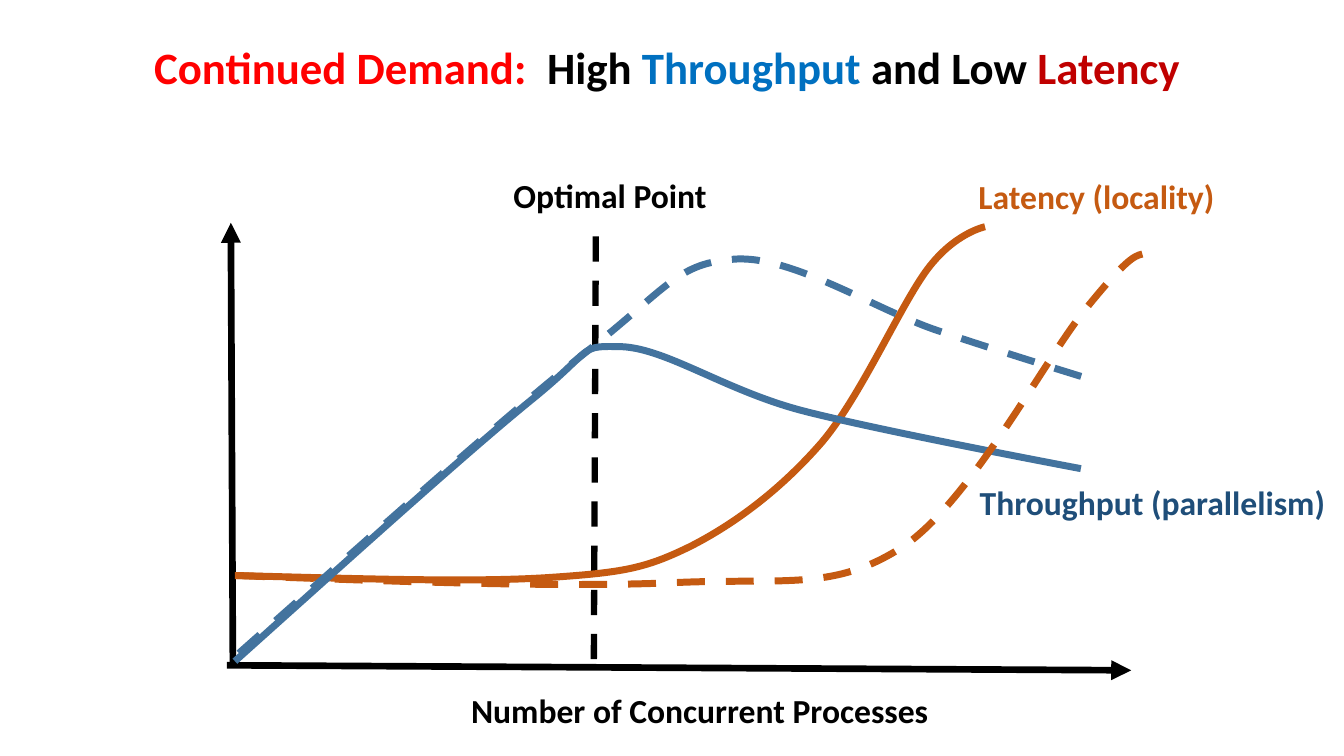
from pptx import Presentation
from pptx.dml.color import RGBColor
from pptx.enum.dml import MSO_LINE
from pptx.enum.shapes import MSO_CONNECTOR
from pptx.enum.text import MSO_ANCHOR, MSO_AUTO_SIZE, PP_ALIGN
from pptx.oxml.ns import qn
from pptx.util import Pt
from lxml.etree import SubElement

EMU_PER_PX = 9144  # 100 px to the inch

BLACK = RGBColor(0x00, 0x00, 0x00)
RED = RGBColor(0xFF, 0x00, 0x00)
DARK_RED = RGBColor(0xC0, 0x00, 0x00)
BRIGHT_BLUE = RGBColor(0x00, 0x70, 0xC0)
NAVY = RGBColor(0x1F, 0x4E, 0x79)
STEEL_BLUE = RGBColor(0x43, 0x73, 0x9E)
ORANGE = RGBColor(0xC5, 0x5A, 0x11)


def px(length):
    return length * EMU_PER_PX


class DiagramSlide:
    font_name = "Calibri"
    title_size = 32
    label_size = 24
    curve_width = 5

    def __init__(self, presentation):
        self.slide = presentation.slides.add_slide(presentation.slide_layouts[5])
        self.shapes = self.slide.shapes

    def add_runs(self, shape, runs, size):
        """Fill a shape with one centred line of (text, colour, spacing) runs."""
        frame = shape.text_frame
        frame.word_wrap = True
        frame.auto_size = MSO_AUTO_SIZE.SHAPE_TO_FIT_TEXT
        frame.vertical_anchor = MSO_ANCHOR.TOP
        paragraph = frame.paragraphs[0]
        paragraph.alignment = PP_ALIGN.CENTER
        for text, color, spacing in runs:
            run = paragraph.add_run()
            run.text = text
            run.font.name = self.font_name
            run.font.size = Pt(size)
            run.font.bold = True
            run.font.color.rgb = color
            if spacing:
                run._r.get_or_add_rPr().set("spc", str(round(spacing * 100)))

    def title(self, left, top, width, height, runs):
        title = self.shapes.title
        title.left, title.top = px(left), px(top)
        title.width, title.height = px(width), px(height)
        self.add_runs(title, runs, self.title_size)

    def label(self, left, top, width, text, color=BLACK):
        box = self.shapes.add_textbox(px(left), px(top), px(width), px(50))
        self.add_runs(box, [(text, color, 0)], self.label_size)

    def stroke(self, line, color, width, dashed):
        line.color.rgb = color
        line.width = Pt(width)
        if dashed:
            line.dash_style = MSO_LINE.DASH

    def line(self, start, end, width, dashed=False, arrow=False):
        connector = self.shapes.add_connector(
            MSO_CONNECTOR.STRAIGHT, *map(px, start + end))
        self.stroke(connector.line, BLACK, width, dashed)
        properties = connector._element.spPr
        if arrow:
            SubElement(properties.find(qn("a:ln")), qn("a:tailEnd"), type="triangle")
        SubElement(properties, qn("a:effectLst"))

    def curve(self, start, points, color, dashed=False):
        """Draw a chain of Bézier arcs; every three points make one arc."""
        builder = self.shapes.build_freeform(*start, scale=EMU_PER_PX)
        builder.add_line_segments(points, close=False)
        shape = builder.convert_to_shape()
        shape.shadow.inherit = False
        shape.fill.background()
        self.stroke(shape.line, color, self.curve_width, dashed)
        # Turn each three straight segments into one cubic arc
        outline = next(shape._element.iter(qn("a:path")))
        segments = outline.findall(qn("a:lnTo"))
        for first in range(0, len(segments), 3):
            arc = SubElement(outline, qn("a:cubicBezTo"))
            for segment in segments[first:first + 3]:
                arc.append(segment[0])
                outline.remove(segment)


def main():
    presentation = Presentation()
    presentation.slide_width, presentation.slide_height = px(1333), px(750)
    diagram = DiagramSlide(presentation)

    # Title, with a wide gap after the colon
    diagram.title(-5, 34, 1333, 64, [
        ("Continued Demand:", RED, 0),
        (" ", RED, 7.2),
        ("High ", BLACK, 0),
        ("Throughput", BRIGHT_BLUE, 0),
        (" and Low ", BLACK, 0),
        ("Latency", DARK_RED, 0),
    ])

    # Axes
    diagram.line((225, 660), (1122, 665), 4.75, arrow=True)
    diagram.line((231, 660), (229, 221), 4.75, arrow=True)
    diagram.label(443, 680, 502, "Number of Concurrent Processes")

    # Optimal point
    diagram.line((589, 654), (591, 225), 4.5, dashed=True)
    diagram.label(354, 169, 502, "Optimal Point")

    # Current curves
    diagram.label(957, 473, 372, "Throughput (parallelism)", NAVY)
    diagram.curve((233, 571), [
        (351, 574), (468, 578), (544, 573),
        (619, 568), (640, 564), (685, 542),
        (730, 519), (775, 485), (815, 439),
        (854, 393), (893, 303), (920, 267),
        (947, 231), (977, 225), (977, 225),
    ], ORANGE)
    diagram.label(929, 170, 317, "Latency (locality)", ORANGE)
    diagram.curve((233, 656), [
        (349, 552), (464, 448), (528, 396),
        (592, 344), (572, 343), (617, 344),
        (661, 346), (719, 387), (794, 407),
        (870, 427), (1072, 465), (1072, 465),
    ], STEEL_BLUE)

    # Demanded curves
    diagram.curve((237, 648), [
        (369, 531), (501, 413), (583, 348),
        (665, 283), (672, 261), (730, 257),
        (787, 254), (870, 308), (930, 328),
        (989, 348), (1087, 378), (1087, 378),
    ], STEEL_BLUE, dashed=True)
    diagram.curve((235, 571), [
        (397, 577), (558, 583), (669, 578),
        (779, 573), (827, 587), (896, 542),
        (964, 496), (1038, 353), (1078, 305),
        (1117, 257), (1125, 254), (1133, 252),
    ], ORANGE, dashed=True)

    presentation.save("out.pptx")


if __name__ == "__main__":
    main()
